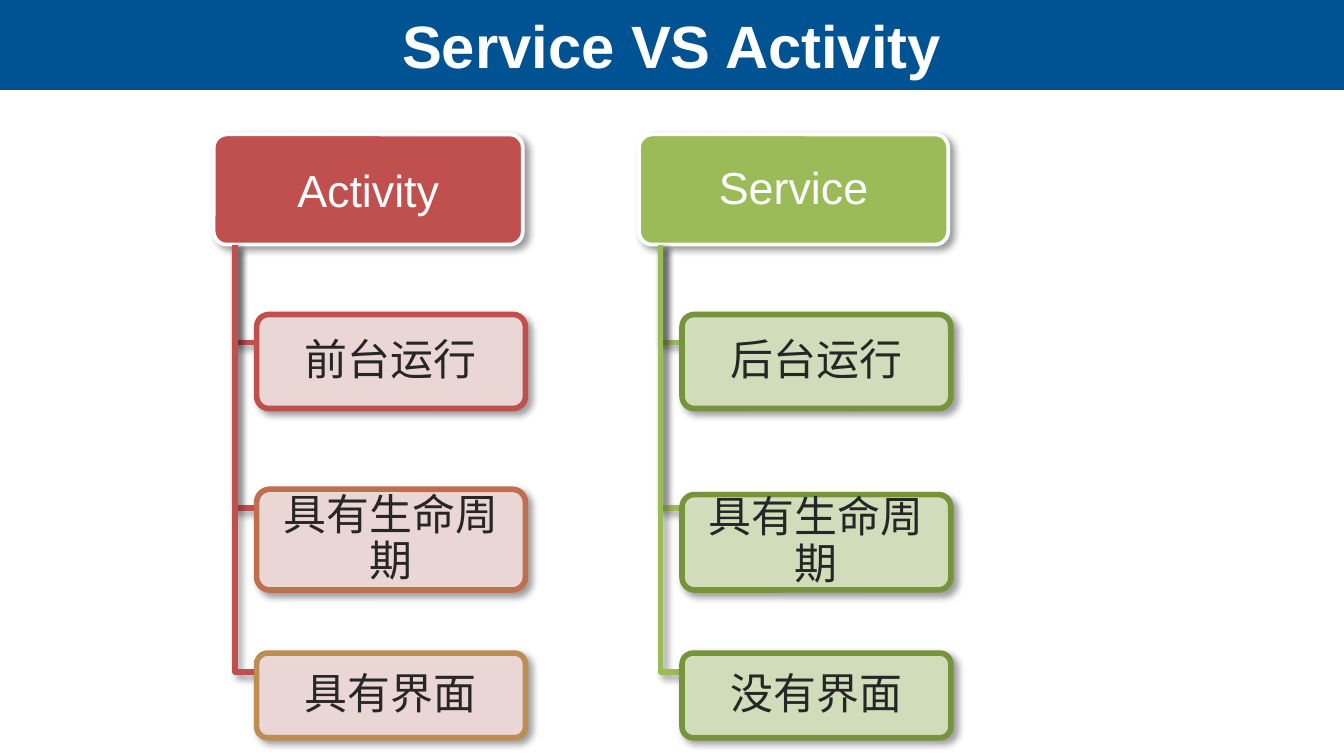
from lxml.etree import SubElement
from pptx import Presentation
from pptx.dml.color import RGBColor
from pptx.enum.shapes import MSO_SHAPE
from pptx.enum.text import MSO_ANCHOR, PP_ALIGN
from pptx.oxml import parse_xml
from pptx.oxml.ns import nsdecls, qn
from pptx.util import Pt

PX = 4572  # 200 px to the inch
WIDTH, HEIGHT, BAND_HEIGHT = 2000, 1125, 134
SHADOW = (
    f'<a:effectLst {nsdecls("a")}>'
    '<a:outerShdw blurRad="50800" dist="38100" dir="2700000" algn="tl" rotWithShape="0">'
    '<a:srgbClr val="000000"><a:alpha val="40000"/></a:srgbClr>'
    '</a:outerShdw></a:effectLst>'
)


def style(sp, line, width, fill=None, opacity=100):
    """Set outline, fill and the drop shadow shared by all diagram parts."""
    sp.line.color.rgb = RGBColor.from_string(line)
    sp.line.width = Pt(width)
    if fill:
        sp.fill.solid()
        sp.fill.fore_color.rgb = RGBColor.from_string(fill)
        color = sp._element.spPr.find(qn("a:solidFill")).find(qn("a:srgbClr"))
        if opacity < 100:
            SubElement(color, qn("a:alpha"), val=str(opacity * 1000))
    else:
        sp.fill.background()
    sp._element.spPr.append(parse_xml(SHADOW))


def write(sp, text, size, color, bold=False, spacing=1.0, inset=(20, 10)):
    tf = sp.text_frame
    tf.word_wrap = True
    tf.vertical_anchor = MSO_ANCHOR.MIDDLE
    tf.margin_left = tf.margin_right = inset[0] * PX
    tf.margin_top = tf.margin_bottom = inset[1] * PX
    p = tf.paragraphs[0]
    p.alignment = PP_ALIGN.CENTER
    p.line_spacing = spacing
    r = p.add_run()
    r.text = text
    r.font.name = "Arial"
    r.font.size = Pt(size)
    r.font.bold = bold
    r.font.color.rgb = RGBColor.from_string(color)


prs = Presentation()
prs.slide_width, prs.slide_height = WIDTH * PX, HEIGHT * PX
s = prs.slides.add_slide(prs.slide_layouts[5])

# Title on a blue band
band = s.shapes.add_shape(MSO_SHAPE.RECTANGLE, 0, 0, WIDTH * PX, BAND_HEIGHT * PX)
band.shadow.inherit = False
band.fill.solid()
band.fill.fore_color.rgb = RGBColor.from_string("005392")
band.line.fill.background()
s.shapes._spTree.insert(2, band._element)

title = s.shapes.title
title.left, title.top, title.width, title.height = 0, 0, WIDTH * PX, BAND_HEIGHT * PX
write(title, "Service VS Activity", 32, "FFFFFF", bold=True)

# Each column: left, heading, line spacing, main colour, item fill,
# then items as (text, top, bottom, outline)
columns = [
    (318, "Activity", 1.0, "C0504D", "F2DCDB", [
        ("前台运行", 468, 608, "C0504D"),
        ("具有生命周期", 728, 878, "BF6F4F"),
        ("具有界面", 972, 1098, "BE8D52"),
    ]),
    (951, "Service", 0.9, "9BBB59", "D7E4BD", [
        ("后台运行", 468, 608, "77933C"),
        ("具有生命周期", 736, 878, "77933C"),
        ("没有界面", 972, 1098, "77933C"),
    ]),
]
branch_ys = [510, 756, 1000]
head_top, head_bottom = 200, 364

for left, heading, spacing, color, fill, items in columns:
    head = s.shapes.add_shape(MSO_SHAPE.ROUNDED_RECTANGLE, left * PX, head_top * PX,
                              460 * PX, (head_bottom - head_top) * PX)
    head.adjustments[0] = 0.12
    style(head, "FFFFFF", 2, fill=color)
    write(head, heading, 24, "FFFFFF", spacing=spacing, inset=(26, 20))

    trunk_x, item_x = left + 32, left + 64
    for (text, top, bottom, outline), y in zip(items, branch_ys):
        builder = s.shapes.build_freeform(trunk_x, head_bottom, scale=PX)
        builder.add_line_segments([(trunk_x, y), (item_x, y)], close=False)
        style(builder.convert_to_shape(), color, 3)

        item = s.shapes.add_shape(MSO_SHAPE.ROUNDED_RECTANGLE, item_x * PX, top * PX,
                                  400 * PX, (bottom - top) * PX)
        item.adjustments[0] = 0.13
        style(item, outline, 3, fill=fill, opacity=90)
        write(item, text, 23, "262626", spacing=0.9, inset=(20, 14))

prs.save("out.pptx")
